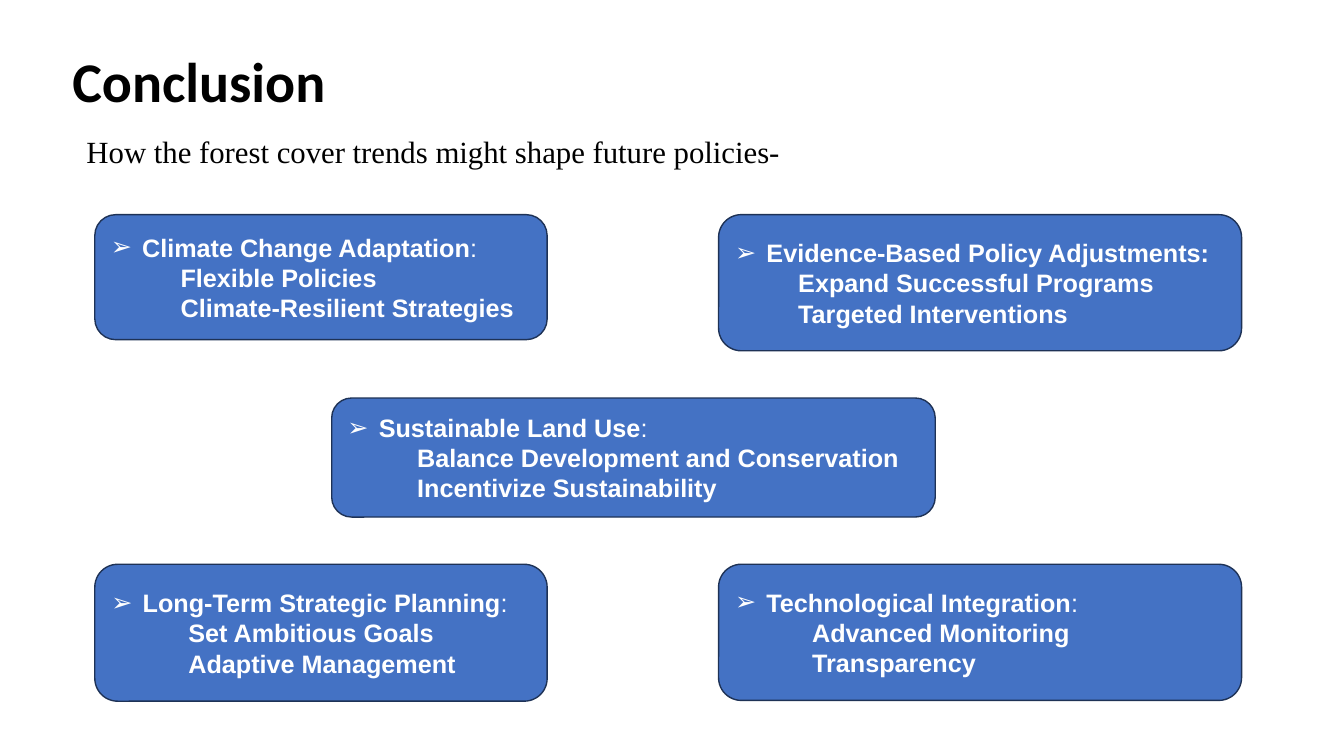
from lxml import etree
from pptx import Presentation
from pptx import util as u
from pptx.dml.color import RGBColor
from pptx.enum import shapes, text
from pptx.oxml.ns import qn

BLACK = RGBColor(0x00, 0x00, 0x00)
WHITE = RGBColor(0xFF, 0xFF, 0xFF)
BLUE = RGBColor(0x44, 0x72, 0xC4)
NAVY = RGBColor(0x1E, 0x32, 0x56)

LEFT, MIDDLE, RIGHT = (2.39, 11.4), (8.36, 15.21), (18.11, 13.18)
TOP_ROW, MIDDLE_ROW, BOTTOM_ROW = 5.41, 10.03, 14.22

POLICIES = [
    (RIGHT, TOP_ROW, 3.43, "Evidence-Based Policy Adjustments", True, 1.59,
     ["Expand Successful Programs", "Targeted Interventions"]),
    (LEFT, BOTTOM_ROW, 3.45, "Long-Term Strategic Planning", False, 1.94,
     ["Set Ambitious Goals", "Adaptive Management"]),
    (RIGHT, BOTTOM_ROW, 3.43, "Technological Integration", False, 1.94,
     ["Advanced Monitoring", "Transparency"]),
    (MIDDLE, MIDDLE_ROW, 3.0, "Sustainable Land Use", False, 1.76,
     ["Balance Development and Conservation", "Incentivize Sustainability"]),
    (LEFT, TOP_ROW, 3.15, "Climate Change Adaptation", False, 1.76,
     ["Flexible Policies", "Climate-Resilient Strategies"]),
]


def format_run(run, font, size, color, bold):
    run.font.name = font
    run.font.size = u.Pt(size)
    run.font.color.rgb = color
    run.font.bold = bold


def indent(paragraph, margin, first_line=0):
    properties = paragraph._p.get_or_add_pPr()
    properties.set("marL", str(u.Cm(margin)))
    properties.set("indent", str(u.Cm(first_line)))
    return properties


def add_arrow_bullet(paragraph):
    properties = indent(paragraph, 0.79, -0.79)
    etree.SubElement(properties, qn("a:buFont")).set("typeface", "Arial")
    etree.SubElement(properties, qn("a:buChar")).set("char", "➢")


def add_heading(slide, left, top, width, height):
    heading = slide.shapes.title
    heading.left, heading.top = u.Cm(left), u.Cm(top)
    heading.width, heading.height = u.Cm(width), u.Cm(height)
    frame = heading.text_frame
    frame.text = "Conclusion"
    frame.vertical_anchor = text.MSO_ANCHOR.TOP
    frame.auto_size = text.MSO_AUTO_SIZE.SHAPE_TO_FIT_TEXT
    frame.paragraphs[0].alignment = text.PP_ALIGN.LEFT
    format_run(frame.paragraphs[0].runs[0], "Calibri", 40, BLACK, True)


def add_lead(slide, left, top, width, height):
    lead = slide.shapes.add_textbox(u.Cm(left), u.Cm(top), u.Cm(width), u.Cm(height))
    frame = lead.text_frame
    frame.word_wrap = True
    frame.auto_size = text.MSO_AUTO_SIZE.SHAPE_TO_FIT_TEXT
    frame.text = "How the forest cover trends might shape future policies-"
    format_run(frame.paragraphs[0].runs[0], "Times New Roman", 22, BLACK, False)


def add_policy(slide, column, top, height, topic, bold_colon, margin, measures):
    left, width = column
    card = slide.shapes.add_shape(shapes.MSO_SHAPE.ROUNDED_RECTANGLE,
                                  u.Cm(left), u.Cm(top), u.Cm(width), u.Cm(height))
    card.shadow.inherit = False
    card.fill.solid()
    card.fill.fore_color.rgb = BLUE
    card.line.color.rgb = NAVY
    card.line.width = u.Pt(1)
    frame = card.text_frame
    frame.word_wrap = True
    frame.vertical_anchor = text.MSO_ANCHOR.MIDDLE
    frame.text = "\n".join([topic, *measures])
    topic_line, *measure_lines = frame.paragraphs
    topic_line.add_run().text = ":"
    add_arrow_bullet(topic_line)
    for line in measure_lines:
        indent(line, margin)
    for line in frame.paragraphs:
        line.alignment = text.PP_ALIGN.LEFT
        for run in line.runs:
            format_run(run, "Arial", 18, WHITE, True)
    topic_line.runs[-1].font.bold = bold_colon


def main():
    deck = Presentation()
    deck.slide_width, deck.slide_height = u.Cm(33.87), u.Cm(19.05)
    slide = deck.slides.add_slide(deck.slide_layouts[5])
    add_heading(slide, 1.57, 1.04, 16.94, 1.96)
    for policy in POLICIES:
        add_policy(slide, *policy)
    add_lead(slide, 1.93, 3.23, 19.18, 1.19)
    deck.save("out.pptx")


if __name__ == "__main__":
    main()
